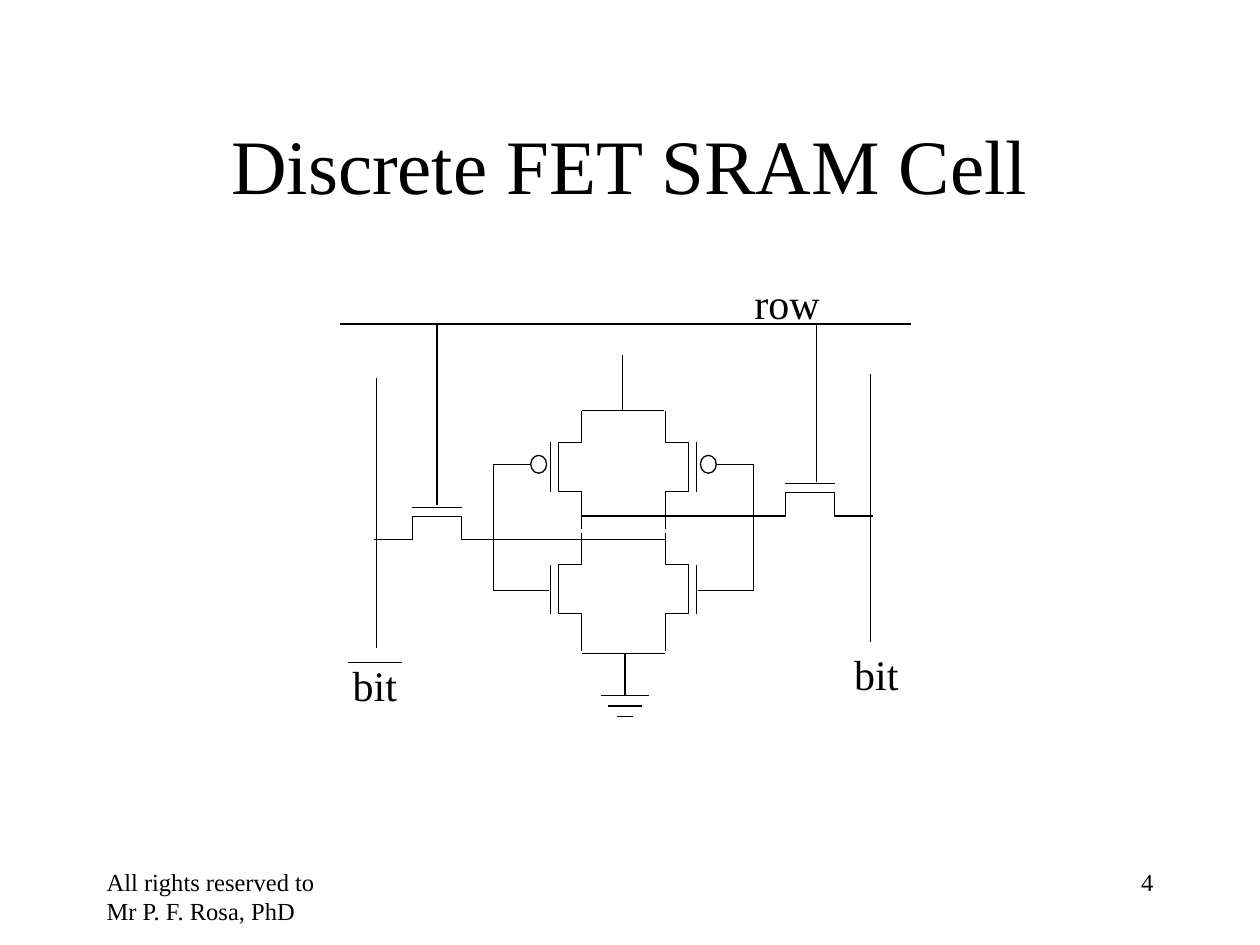
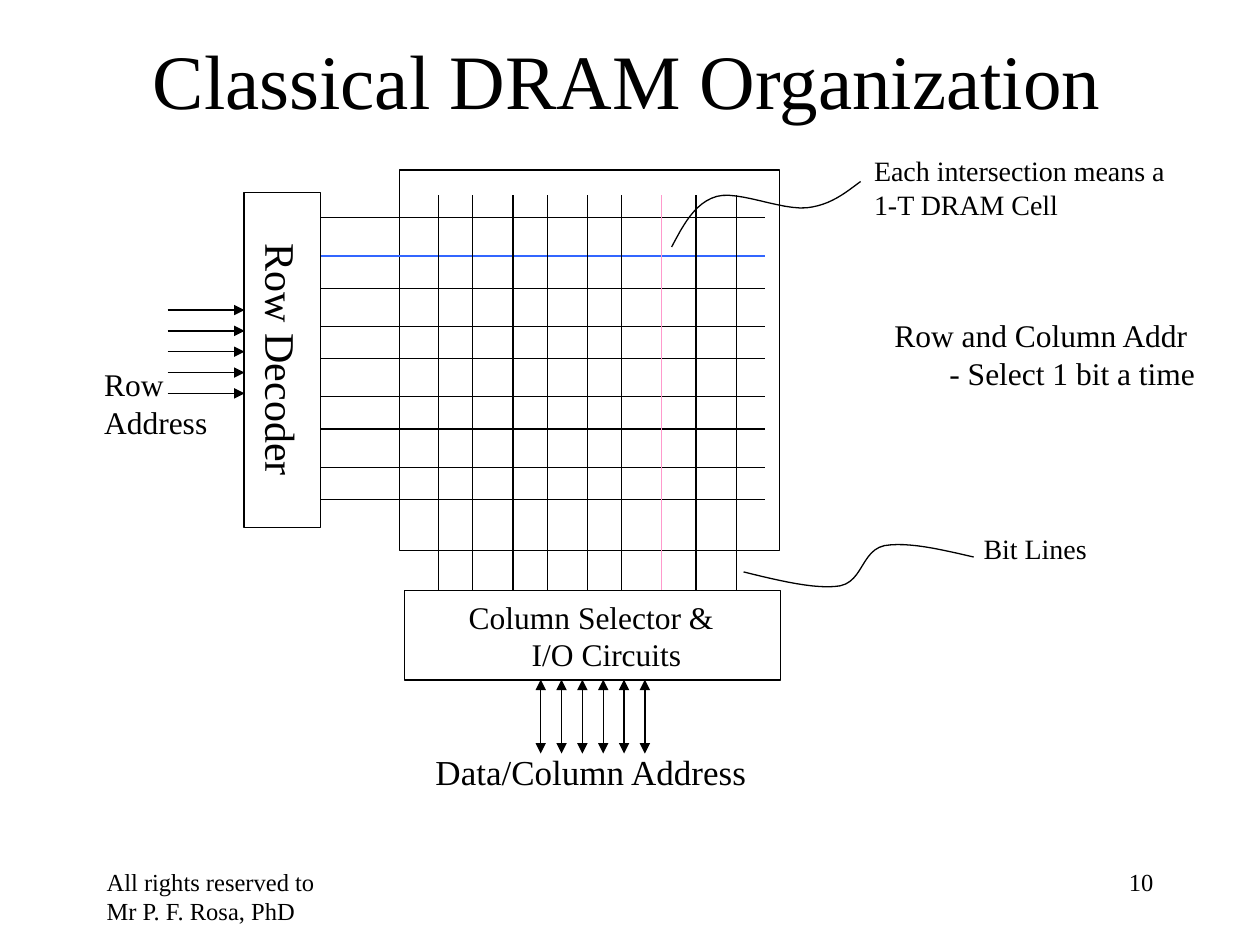
from lxml import etree
from pptx import Presentation
from pptx.dml.color import RGBColor
from pptx.enum.shapes import MSO_CONNECTOR, MSO_SHAPE
from pptx.enum.text import MSO_ANCHOR, PP_ALIGN
from pptx.oxml.ns import qn
from pptx.util import Cm, Pt

STRAIGHT = MSO_CONNECTOR.STRAIGHT
RECTANGLE, OVAL = MSO_SHAPE.RECTANGLE, MSO_SHAPE.OVAL
LEFT, CENTER, RIGHT = PP_ALIGN.LEFT, PP_ALIGN.CENTER, PP_ALIGN.RIGHT
MIDDLE = MSO_ANCHOR.MIDDLE

FONT = "Times New Roman"
COLORS = {"ink": "000000", "paper": "FFFFFF", "row": "3366FF", "column": "FF99CC"}
LINE_WIDTH = Pt(0.75)
FOOTER = "All rights reserved to Mr P. F. Rosa, PhD"

CELL_AXIS = 12.57
CONTACT, CHANNEL, GATE, BUBBLE = 0.84, 1.31, 1.47, 1.71
TRANSISTOR_TOPS = [8.28, 10.74]
ACCESS_SIDES = [
    {"side": -1, "channel": 10.41, "lead": 3.76, "bit_line": (7.62, 13.06)},
    {"side": 1, "channel": 9.93, "lead": 3.89, "bit_line": (7.54, 12.95)},
]
WORD_LINE_Y = 6.53
CELL_WIRES = [
    (6.86, WORD_LINE_Y, 18.36, WORD_LINE_Y),
    (7.01, 13.36, 8.1, 13.36),
    (11.73, 8.28, 13.39, 8.28),
    (11.73, 13.18, 13.41, 13.18),
    (12.55, 7.16, 12.55, 8.28),
    (12.6, 13.18, 12.6, 14.02),
]
GROUND_X, GROUND_Y, GROUND_STEP = 12.6, 14.02, 0.21
GROUND_HALF_WIDTHS = [0.48, 0.34, 0.17]
CELL_LABELS = [
    ("row", 14.96, 5.46, 1.83),
    ("bit", 6.86, 13.18, 1.4),
    ("bit", 16.97, 12.95, 1.4),
]

GRID_COUNT = 9
MARKED_ROW, MARKED_COLUMN = 1, 6
DRAM_LABELS = [
    {"lines": ["Data/Column Address"], "box": (8.53, 15.01, 6.81, 1.09), "size": 20},
    {"lines": ["Row", "Address"], "box": (1.85, 7.24, 2.59, 1.78), "size": 18},
    {"lines": ["Each intersection means a 1-T DRAM Cell"],
     "box": (17.37, 2.97, 6.5, 1.63), "size": 16, "wrap": True},
    {"lines": ["Bit Lines"], "box": (19.58, 10.59, 2.59, 0.94), "size": 16},
    {"lines": ["Row and Column Addr", "- Select 1 bit a time"],
     "box": (17.78, 6.25, 6.58, 1.78), "size": 18, "indent": 1.11},
]
POINTER_CURVES = [
    [(13.54, 4.98), (13.77, 4.55), (14, 4.09), (14.45, 3.96), (14.88, 3.84),
     (15.75, 4.24), (16.26, 4.19), (16.74, 4.14), (17.04, 3.89), (17.35, 3.66)],
    [(14.99, 11.53), (15.72, 11.71), (16.46, 11.89), (16.94, 11.81), (17.4, 11.71),
     (17.37, 11.1), (17.83, 11), (18.29, 10.92), (18.95, 11.07), (19.63, 11.23)],
]


def color(name):
    return RGBColor.from_string(COLORS[name])


def write(text_frame, lines, size, align=LEFT, wrap=False, indent=0):
    text_frame.word_wrap = wrap
    text_frame.text = "\n".join(lines)
    for index, paragraph in enumerate(text_frame.paragraphs):
        paragraph.alignment = align
        if index and indent:
            paragraph._p.get_or_add_pPr().set("marL", str(Cm(indent)))
        for run in paragraph.runs:
            run.font.name = FONT
            run.font.size = Pt(size)
            run.font.color.rgb = color("ink")


def add_text(slide, lines, box, size, **options):
    shape = slide.shapes.add_textbox(*map(Cm, box))
    write(shape.text_frame, lines, size, **options)


def outline(shape, fill=None):
    shape.shadow.inherit = False
    shape.line.color.rgb = color("ink")
    shape.line.width = LINE_WIDTH
    if fill:
        shape.fill.solid()
        shape.fill.fore_color.rgb = color(fill)
    else:
        shape.fill.background()


def add_outlined(slide, kind, box, fill=None):
    shape = slide.shapes.add_shape(kind, *map(Cm, box))
    outline(shape, fill)
    return shape


def add_wire(slide, x1, y1, x2, y2, line_color="ink", arrow_ends=()):
    wire = slide.shapes.add_connector(STRAIGHT, Cm(x1), Cm(y1), Cm(x2), Cm(y2))
    wire.line.color.rgb = color(line_color)
    wire.line.width = LINE_WIDTH
    for end in arrow_ends:
        etree.SubElement(wire.line._get_or_add_ln(), qn(f"a:{end}"), type="triangle")
    etree.SubElement(wire._element.spPr, qn("a:effectLst"))


def add_path(slide, points):
    start, *rest = [(Cm(x), Cm(y)) for x, y in points]
    builder = slide.shapes.build_freeform(*start)
    builder.add_line_segments(rest, close=False)
    outline(builder.convert_to_shape())


def curve_points(controls, steps=12):
    points = [controls[0]]
    for first in range(0, len(controls) - 1, 3):
        segment = controls[first:first + 4]
        for step in range(1, steps + 1):
            t = step / steps
            weights = ((1 - t) ** 3, 3 * t * (1 - t) ** 2, 3 * t * t * (1 - t), t ** 3)
            points.append(tuple(
                sum(weight * point[axis] for weight, point in zip(weights, segment))
                for axis in (0, 1)))
    return points


def add_slide(presentation, title, title_left, title_top, number):
    slide = presentation.slides.add_slide(presentation.slide_layouts[5])
    shape = slide.shapes.title
    shape.left, shape.top = Cm(title_left), Cm(title_top)
    shape.width, shape.height = Cm(21.59), Cm(3.18)
    write(shape.text_frame, [title], 44, align=CENTER, wrap=True)
    shape.text_frame.vertical_anchor = MIDDLE
    add_text(slide, [FOOTER], (1.9, 17.35, 5.29, 1.27), 14, wrap=True)
    add_text(slide, [number], (18.21, 17.35, 5.29, 1.27), 14, align=RIGHT, wrap=True)
    return slide


def add_inverter(slide, side):
    def x(offset):
        return CELL_AXIS + side * offset

    for top in TRANSISTOR_TOPS:
        upper, lower, bottom = top + 0.64, top + 1.63, top + 2.39
        add_path(slide, [(x(CONTACT), bottom), (x(CONTACT), lower), (x(CHANNEL), lower),
                         (x(CHANNEL), upper), (x(CONTACT), upper), (x(CONTACT), top)])
        add_wire(slide, x(GATE), lower, x(GATE), upper)
    add_outlined(slide, OVAL, (x(BUBBLE) - 0.16, 9.18, 0.32, 0.36))
    add_path(slide, [(x(1.88), 9.37), (x(2.62), 9.37), (x(2.62), 11.91), (x(1.5), 11.91)])


def add_access_transistor(slide, side, channel, lead, bit_line):
    def x(offset):
        return CELL_AXIS + side * offset

    node, gate = channel + 0.47, channel - 0.18
    add_path(slide, [(x(5.02), node), (x(4.26), node), (x(4.26), channel),
                     (x(3.26), channel), (x(3.26), node), (x(2.63), node)])
    add_wire(slide, x(4.26), gate, x(3.26), gate)
    add_wire(slide, x(lead), gate - 0.04, x(lead), WORD_LINE_Y)
    add_wire(slide, x(2.63), node, x(-CONTACT), node)
    add_wire(slide, x(4.98), bit_line[0], x(4.98), bit_line[1])


def build_sram(presentation):
    slide = add_slide(presentation, "Discrete FET SRAM Cell", 1.9, 1.7, "4")
    for access in ACCESS_SIDES:
        add_inverter(slide, access["side"])
        add_access_transistor(slide, **access)
    for wire in CELL_WIRES:
        add_wire(slide, *wire)
    for index, half_width in enumerate(GROUND_HALF_WIDTHS):
        y = GROUND_Y + index * GROUND_STEP
        add_wire(slide, GROUND_X - half_width, y, GROUND_X + half_width, y)
    for text, left, top, width in CELL_LABELS:
        add_text(slide, [text], (left, top, width, 1.27), 24)


def build_dram(presentation):
    slide = add_slide(presentation, "Classical DRAM Organization", 1.85, 0, "10")
    add_outlined(slide, RECTANGLE, (8.05, 3.43, 7.67, 7.67), "paper")
    decoder = add_outlined(slide, RECTANGLE, (2.31, 6.48, 6.76, 1.55))
    decoder.rotation = 90
    write(decoder.text_frame, ["Row Decoder"], 24, align=CENTER)
    decoder.text_frame.vertical_anchor = MIDDLE

    for index in range(GRID_COUNT):
        pair, second = divmod(index, 2)
        y = 4.39 + 1.42 * pair + 0.77 * second
        add_wire(slide, 6.48, y, 15.42, y, "row" if index == MARKED_ROW else "ink")
    for index in range(GRID_COUNT):
        pair, second = divmod(index, 2)
        x = 8.84 + 1.5 * pair + 0.69 * second
        add_wire(slide, x, 3.94, x, 12.45, "column" if index == MARKED_COLUMN else "ink")

    selector = add_outlined(slide, RECTANGLE, (8.15, 11.91, 7.59, 1.8), "paper")
    write(selector.text_frame, ["Column Selector &", "I/O Circuits"], 18,
          wrap=True, indent=1.27)
    selector.text_frame.margin_left = Cm(1.3)
    selector.text_frame.vertical_anchor = MIDDLE

    for index in range(6):
        x = 10.9 + 0.42 * index
        add_wire(slide, x, 13.7, x, 15.19, arrow_ends=("headEnd", "tailEnd"))
    for index in range(5):
        y = 6.25 + 0.42 * index
        add_wire(slide, 3.38, y, 4.93, y, arrow_ends=("tailEnd",))
    for controls in POINTER_CURVES:
        add_path(slide, curve_points(controls))
    for label in DRAM_LABELS:
        add_text(slide, **label)


def main():
    presentation = Presentation()
    presentation.slide_width, presentation.slide_height = Cm(25.4), Cm(19.05)
    build_sram(presentation)
    build_dram(presentation)
    presentation.save("out.pptx")


if __name__ == "__main__":
    main()
